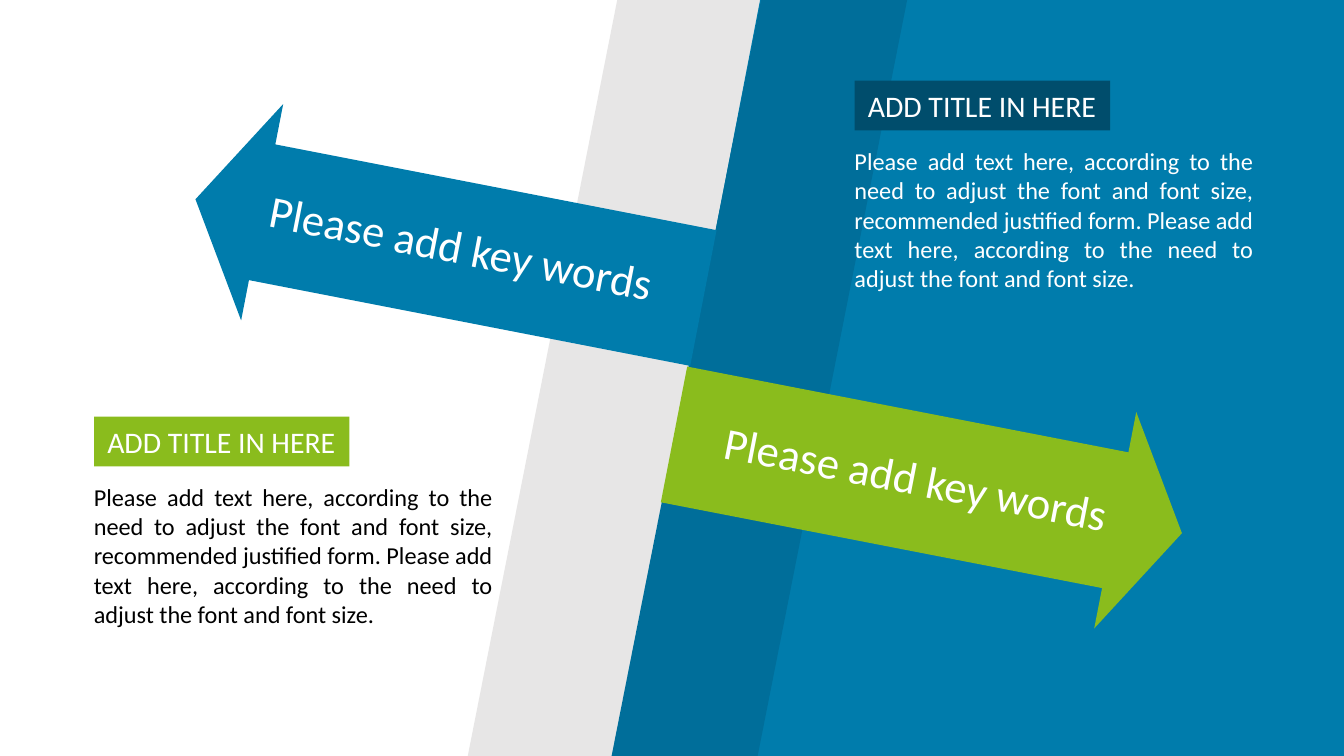
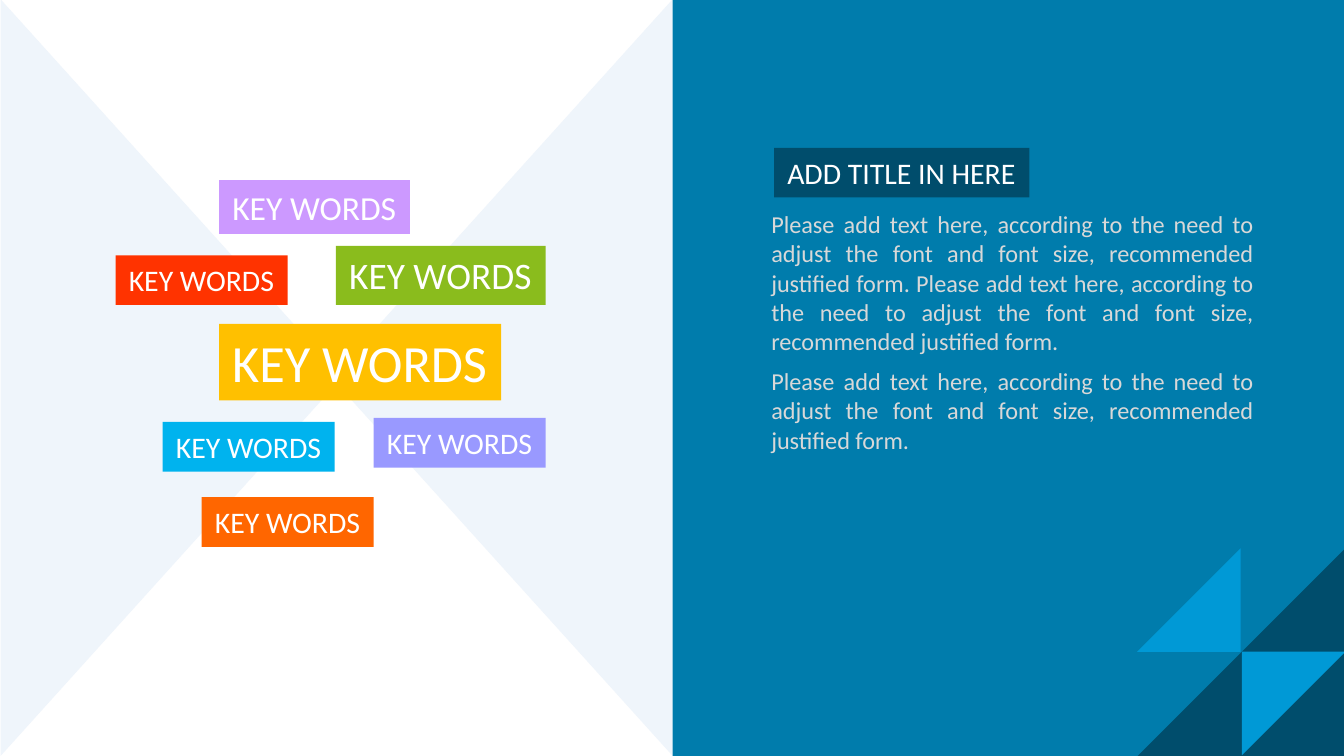
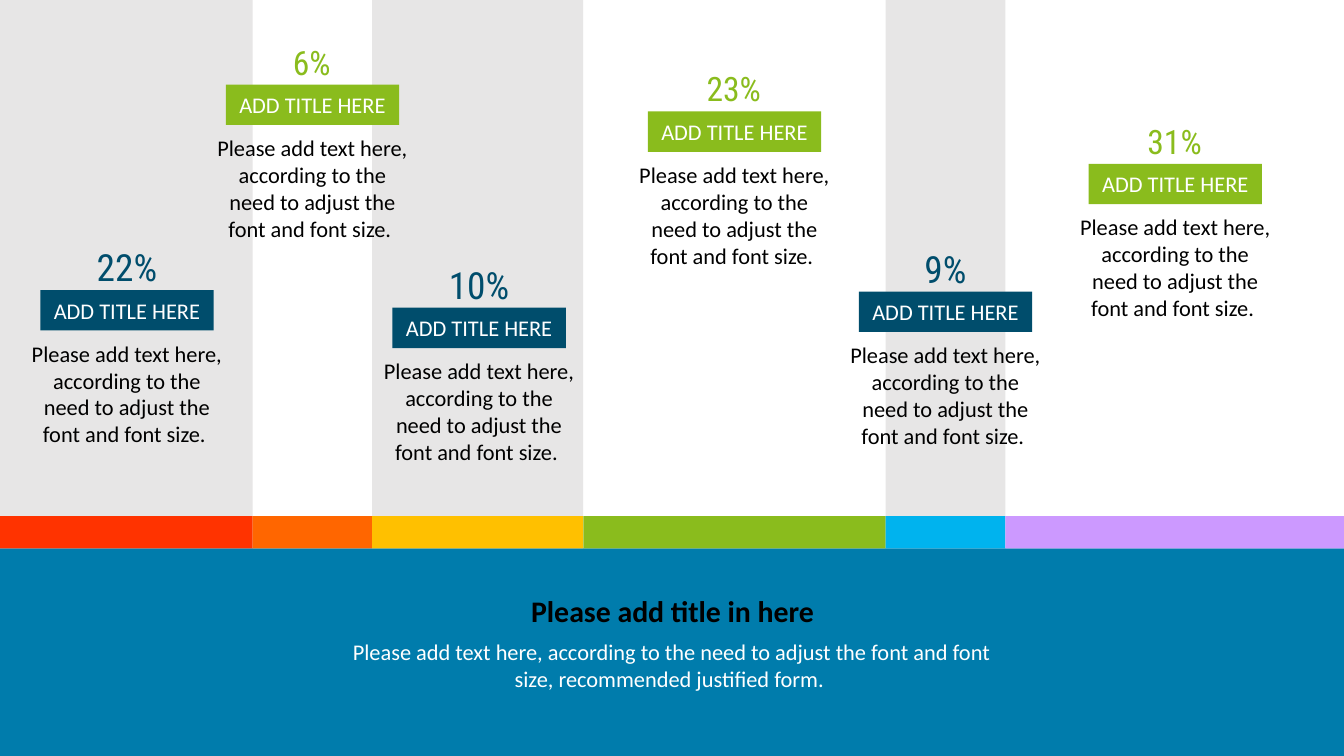
from dataclasses import dataclass
from itertools import accumulate
from typing import NamedTuple

from pptx import Presentation
from pptx.dml.color import RGBColor
from pptx.enum.shapes import MSO_SHAPE
from pptx.enum.text import MSO_ANCHOR, MSO_AUTO_SIZE, PP_ALIGN
from pptx.oxml.ns import qn
from pptx.shapes.autoshape import Shape
from pptx.slide import Slide
from pptx.util import Emu, Pt

SCALE = 9144
WIDE, TALL = 1000, 563
HALF = WIDE // 2

WHITE = RGBColor(0xFF, 0xFF, 0xFF)
BLACK = RGBColor(0x00, 0x00, 0x00)
GREY = RGBColor(0xE7, 0xE6, 0xE6)
SILVER = RGBColor(0xD8, 0xD8, 0xD8)
PALE = RGBColor(0xEF, 0xF5, 0xFB)
BLUE = RGBColor(0x00, 0x7C, 0xAC)
SHADE = RGBColor(0x00, 0x6E, 0x9A)
NAVY = RGBColor(0x00, 0x4D, 0x6C)
BRIGHT = RGBColor(0x00, 0x99, 0xD6)
SKY = RGBColor(0x00, 0xB3, 0xEE)
GREEN = RGBColor(0x8A, 0xBC, 0x1D)
RED = RGBColor(0xFF, 0x33, 0x00)
ORANGE = RGBColor(0xFF, 0x66, 0x00)
GOLD = RGBColor(0xFF, 0xC0, 0x00)
LILAC = RGBColor(0xCC, 0x99, 0xFF)
VIOLET = RGBColor(0x99, 0x99, 0xFF)

SANS = "Calibri"
NARROW = "Roboto Condensed"
LEFT, MID, RIGHT, FULL = PP_ALIGN.LEFT, PP_ALIGN.CENTER, PP_ALIGN.RIGHT, PP_ALIGN.JUSTIFY

TITLE = "ADD TITLE IN HERE"
KEY = "Please add key words"
SHORT = "Please add text here, according to the need to adjust the font and font size. "
LONG = ("Please add text here, according to the need to adjust the font and font size, "
        "recommended justified form. ")


class Box(NamedTuple):
    left: int
    top: int
    wide: int
    tall: int


@dataclass(frozen=True)
class Style:
    size: int
    color: RGBColor = WHITE
    align: PP_ALIGN = LEFT
    after: int = 0
    wrap: bool = True
    bold: bool = False
    font: str = SANS


@dataclass(frozen=True)
class Form:
    kind: MSO_SHAPE
    box: Box
    fill: RGBColor
    turn: int = 0
    flip: str = ""
    bends: tuple[float, ...] = ()


class Word(NamedTuple):
    box: Box
    fill: RGBColor
    size: int


class Share(NamedTuple):
    label: str
    left: int
    top: int
    high: bool


class Band(NamedTuple):
    wide: int
    fill: RGBColor
    tint: bool


def emu(box: Box) -> list[Emu]:
    return [Emu(n * SCALE) for n in box]


def draw(slide: Slide, form: Form) -> Shape:
    shape = slide.shapes.add_shape(form.kind, *emu(form.box))
    shape.shadow.inherit = False
    shape.fill.solid()
    shape.fill.fore_color.rgb = form.fill
    shape.line.fill.background()
    shape.rotation = form.turn
    for i, bend in enumerate(form.bends):
        shape.adjustments[i] = bend
    frame = shape._element.spPr.find(qn("a:xfrm"))
    for side in form.flip:
        frame.set(f"flip{side}", "1")
    return shape


def block(slide: Slide, box: Box, fill: RGBColor) -> Shape:
    return draw(slide, Form(MSO_SHAPE.RECTANGLE, box, fill))


def write(shape: Shape, style: Style, *texts: str) -> None:
    frame = shape.text_frame
    frame.word_wrap = style.wrap
    frame.auto_size = MSO_AUTO_SIZE.SHAPE_TO_FIT_TEXT
    frame.vertical_anchor = MSO_ANCHOR.TOP
    for i, text in enumerate(texts):
        para = frame.add_paragraph() if i else frame.paragraphs[0]
        para.alignment = style.align
        para.space_after = Pt(style.after)
        run = para.add_run()
        run.text = text
        run.font.name = style.font
        run.font.size = Pt(style.size)
        run.font.bold = style.bold
        run.font.color.rgb = style.color


def note(slide: Slide, box: Box, style: Style, *texts: str, turn: int = 0) -> None:
    shape = slide.shapes.add_textbox(*emu(box))
    shape.rotation = turn
    write(shape, style, *texts)


def tag(slide: Slide, box: Box, fill: RGBColor, text: str,
        size: int = 16, align: PP_ALIGN = LEFT) -> None:
    write(block(slide, box, fill), Style(size, align=align, wrap=False), text)


def arrows(slide: Slide) -> None:
    lean = (0.506,)
    for form in (
        Form(MSO_SHAPE.PARALLELOGRAM, Box(348, 0, 220, TALL), GREY, bends=lean),
        Form(MSO_SHAPE.FLOWCHART_MANUAL_INPUT, Box(447, 10, TALL, 543), BLUE, 270, "H"),
        Form(MSO_SHAPE.PARALLELOGRAM, Box(455, 0, 220, TALL), SHADE, bends=lean),
    ):
        draw(slide, form)

    for box, fill, flip, spot, align in (
        (Box(142, 103, 385, 164), BLUE, "HV", Box(185, 158, 309, 90), FULL),
        (Box(498, 278, 385, 164), GREEN, "", Box(523, 330, 309, 90), RIGHT),
    ):
        draw(slide, Form(MSO_SHAPE.RIGHT_ARROW, box, fill, 11, flip, (0.627, 0.308)))
        note(slide, spot, Style(24, align=align, after=6), KEY, turn=11)

    for left, top, fill, ink in ((636, 60, NAVY, WHITE), (70, 310, GREEN, BLACK)):
        note(slide, Box(left - 10, top + 44, 316, 119), Style(13, ink, FULL, 6), LONG + SHORT)
        tag(slide, Box(left, top, 190, 37), fill, TITLE)


def words(slide: Slide) -> None:
    for left, turn, flip in ((-154, 90, ""), (92, 270, "H")):
        box = Box(left, 154, TALL, 254)
        draw(slide, Form(MSO_SHAPE.ISOSCELES_TRIANGLE, box, PALE, turn, flip))
    draw(slide, Form(MSO_SHAPE.RECTANGLE, Box(469, 31, TALL, HALF), BLUE, 270, "H"))

    for word in (
        Word(Box(121, 314, 128, 37), SKY, 16),
        Word(Box(163, 241, 210, 57), GOLD, 28),
        Word(Box(86, 190, 128, 37), RED, 16),
        Word(Box(250, 183, 156, 44), GREEN, 20),
        Word(Box(278, 311, 128, 37), VIOLET, 16),
        Word(Box(150, 370, 128, 37), ORANGE, 16),
        Word(Box(163, 134, 142, 40), LILAC, 18),
    ):
        tag(slide, word.box, word.fill, "KEY WORDS", word.size)

    note(slide, Box(564, 151, 378, 192), Style(13, SILVER, FULL, 6), LONG * 2, LONG)
    tag(slide, Box(576, 110, 190, 37), NAVY, TITLE)

    for box, fill, turn, flip in (
        (Box(846, 408, 155, 155), NAVY, 90, "HV"),
        (Box(924, 485, 77, 77), BRIGHT, 0, "V"),
        (Box(846, 408, 77, 77), BRIGHT, 180, "V"),
    ):
        draw(slide, Form(MSO_SHAPE.RIGHT_TRIANGLE, box, fill, turn, flip))


def shares(slide: Slide) -> None:
    base, thick = 408, 24
    bands = (
        Band(188, RED, True),
        Band(89, ORANGE, False),
        Band(157, GOLD, True),
        Band(225, GREEN, False),
        Band(89, SKY, True),
        Band(252, LILAC, False),
    )
    lefts = list(accumulate((band.wide for band in bands[:-1]), initial=0))
    for left, band in zip(lefts, bands):
        if band.tint:
            block(slide, Box(left, 0, band.wide, base), GREY)
    floor = Box(0, base, WIDE, TALL - base)
    draw(slide, Form(MSO_SHAPE.RECTANGLE, floor, BLUE, flip="H"))
    for left, band in zip(lefts, bands):
        block(slide, Box(left, base - thick, band.wide, thick), band.fill)

    note(slide, Box(252, 470, 496, 50), Style(12, align=MID, after=6), LONG)
    note(slide, Box(385, 436, 231, 37), Style(16, BLACK, MID, wrap=False, bold=True),
         "Please add title in here")

    for share in (
        Share("22%", 30, 216, False),
        Share("6%", 168, 63, True),
        Share("10%", 292, 229, False),
        Share("31%", 810, 122, True),
        Share("23%", 482, 83, True),
        Share("9%", 639, 217, False),
    ):
        left, top = share.left, share.top
        if share.high:
            fill, size, box = GREEN, 18, Box(left + 7, top - 37, 114, 40)
        else:
            fill, size, box = NAVY, 20, Box(left + 14, top - 39, 101, 44)
        tag(slide, Box(left, top, 129, 30), fill, "ADD TITLE HERE", 12, MID)
        note(slide, Box(left - 19, top + 32, 167, 90), Style(12, BLACK, MID, 6), SHORT)
        note(slide, box, Style(size, fill, MID, 6, font=NARROW), share.label)


def main() -> None:
    deck = Presentation()
    deck.slide_width = Emu(WIDE * SCALE)
    deck.slide_height = Emu(WIDE * SCALE * 9 // 16)
    for build in (arrows, words, shares):
        build(deck.slides.add_slide(deck.slide_layouts[6]))
    deck.save("out.pptx")


if __name__ == "__main__":
    main()
